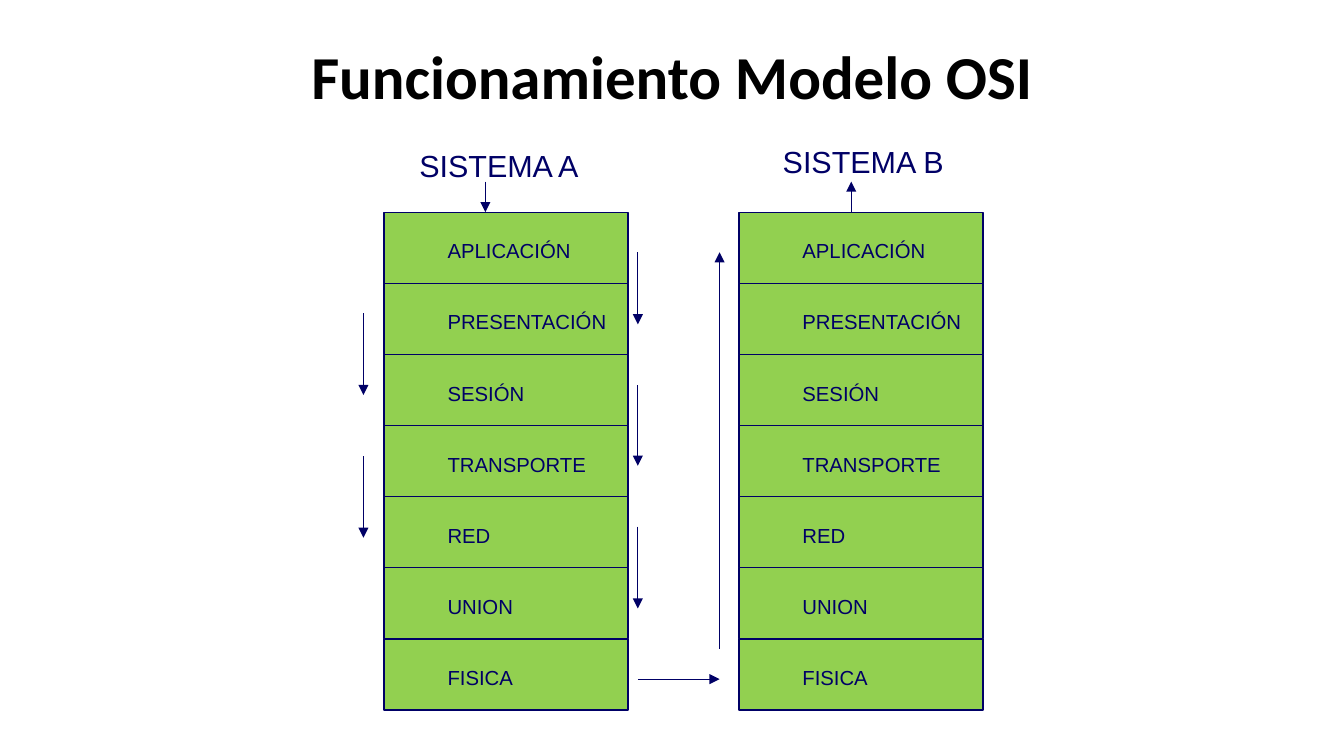
from pptx import Presentation
from pptx.dml.color import RGBColor
from pptx.enum.shapes import MSO_CONNECTOR, MSO_SHAPE
from pptx.enum.text import MSO_ANCHOR, PP_ALIGN
from pptx.oxml.ns import qn
from pptx.util import Inches, Pt
from lxml.etree import SubElement

COLORS = {"navy": "000066", "green": "92D050", "black": "000000"}


def write(sp, text, size=12, font="Arial", color="navy", bold=False,
          align=PP_ALIGN.LEFT, anchor=MSO_ANCHOR.TOP, insets=(0.1, 0.05, 0.1, 0.05)):
    tf = sp.text_frame
    tf.word_wrap = True
    tf.vertical_anchor = anchor
    tf.margin_left, tf.margin_top, tf.margin_right, tf.margin_bottom = map(Inches, insets)
    p = tf.paragraphs[0]
    p.alignment = align
    r = p.add_run()
    r.text = text
    r.font.size = Pt(size)
    r.font.name = font
    r.font.bold = bold
    r.font.color.rgb = RGBColor.from_string(COLORS[color])


prs = Presentation()
prs.slide_width = Inches(11.02)
prs.slide_height = Inches(6.2)
s = prs.slides.add_slide(prs.slide_layouts[6])

title = s.shapes.add_textbox(Inches(0.55), Inches(0.25), Inches(9.92), Inches(0.74))
write(title, "Funcionamiento Modelo OSI", size=36, font="Calibri", color="black", bold=True,
      align=PP_ALIGN.CENTER, anchor=MSO_ANCHOR.MIDDLE, insets=(0, 0, 0, 0))

layers = ["APLICACIÓN", "PRESENTACIÓN", "SESIÓN", "TRANSPORTE", "RED", "UNION", "FISICA"]
stack_top = 1.74
layer_height = 3.5 / 6
systems = [("SISTEMA A", 3.15, 3.34, 1.16), ("SISTEMA B", 6.06, 6.32, 1.12)]

for name, stack_left, name_left, name_top in systems:
    for i, layer in enumerate(layers):
        sp = s.shapes.add_shape(MSO_SHAPE.RECTANGLE, Inches(stack_left),
                                Inches(stack_top + i * layer_height),
                                Inches(2), Inches(layer_height))
        sp.shadow.inherit = False
        sp.fill.solid()
        sp.fill.fore_color.rgb = RGBColor.from_string(COLORS["green"])
        sp.line.color.rgb = RGBColor.from_string(COLORS["navy"])
        sp.line.width = Pt(0.75)
        write(sp, layer, anchor=MSO_ANCHOR.MIDDLE, insets=(0.52, 0.05, 0, 0))
    label = s.shapes.add_textbox(Inches(name_left), Inches(name_top), Inches(1.7), Inches(0.4))
    write(label, name, size=18)

arrows = [
    (3.98, 1.49, 3.98, 1.74),
    (5.23, 2.07, 5.23, 2.66),
    (2.98, 2.57, 2.98, 3.24),
    (5.23, 3.16, 5.23, 3.82),
    (2.98, 3.74, 2.98, 4.41),
    (5.23, 4.32, 5.23, 4.99),
    (5.23, 5.57, 5.9, 5.57),
    (5.9, 5.32, 5.9, 2.07),
    (6.98, 1.74, 6.98, 1.49),
]
for ends in arrows:
    arrow = s.shapes.add_connector(MSO_CONNECTOR.STRAIGHT, *map(Inches, ends))
    arrow.line.color.rgb = RGBColor.from_string(COLORS["navy"])
    arrow.line.width = Pt(0.75)
    SubElement(arrow.line._get_or_add_ln(), qn("a:tailEnd"), type="triangle")
    SubElement(arrow._element.spPr, qn("a:effectLst"))

prs.save("out.pptx")
